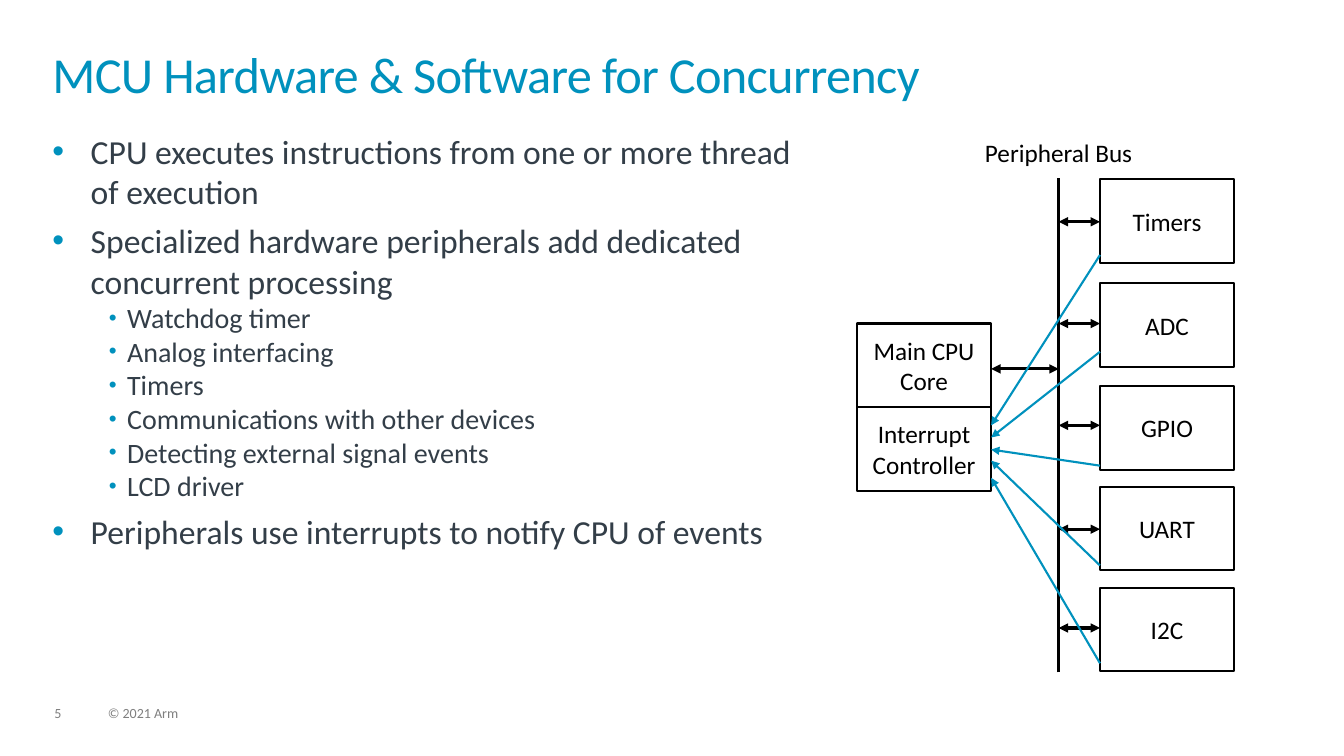
import dataclasses

import lxml.etree
import pptx
import pptx.dml.color
import pptx.enum.shapes
import pptx.enum.text
import pptx.oxml.ns
import pptx.util

ALIGN = pptx.enum.text.PP_ALIGN
ANCHOR = pptx.enum.text.MSO_ANCHOR


@dataclasses.dataclass(frozen=True)
class Theme:
    """Colours, font and type sizes of the slide."""
    accent: str = "0091BD"
    body: str = "333E48"
    ink: str = "000000"
    muted: str = "7F7F7F"
    font: str = "Calibri"
    title_size: int = 36
    list_size: int = 24
    sublist_size: int = 20
    label_size: int = 18
    footer_size: int = 10


THEME = Theme()

BULLETS = [
    (0, "CPU executes instructions from one or more thread of execution"),
    (0, "Specialized hardware peripherals add dedicated concurrent processing"),
    (1, "Watchdog timer"),
    (1, "Analog interfacing"),
    (1, "Timers"),
    (1, "Communications with other devices"),
    (1, "Detecting external signal events"),
    (1, "LCD driver"),
    (0, "Peripherals use interrupts to notify CPU of events"),
]

# name, box top, bus arrow, interrupt start, interrupt end
PERIPHERALS = [
    ("Timers", 42, 84, 117, 286),
    ("ADC", 145, 185, 213, 298),
    ("GPIO", 247, 286, 326, 310),
    ("UART", 347, 389, 425, 321),
    ("I2C", 447, 487, 522, 338),
]


def px(length):
    """Turn px, 100 to the inch, into EMU."""
    return pptx.util.Emu(length * 9144)


def rgb(colour):
    """Turn a hex string into a colour."""
    return pptx.dml.color.RGBColor.from_string(colour)


def place(shape, box):
    """Move a shape to a box of left, top, width and height."""
    shape.left, shape.top, shape.width, shape.height = map(px, box)


def set_frame(frame, anchor=ANCHOR.TOP, wrap=True):
    """Clear the insets of a text frame and set its anchor and wrapping."""
    frame.margin_left = frame.margin_right = frame.margin_top = frame.margin_bottom = 0
    frame.vertical_anchor = anchor
    frame.auto_size = pptx.enum.text.MSO_AUTO_SIZE.NONE
    frame.word_wrap = wrap


def write(para, text, size, colour, align=ALIGN.LEFT):
    """Fill a paragraph with text in one style."""
    para.text = text
    para.alignment = align
    para.font.name = THEME.font
    para.font.size = pptx.util.Pt(size)
    para.font.bold = False
    para.font.color.rgb = rgb(colour)


def add_label(slide, box, text, size, colour, align=ALIGN.LEFT, wrap=True):
    """Add a one-paragraph text box."""
    label = slide.shapes.add_textbox(*map(px, box))
    set_frame(label.text_frame, wrap=wrap)
    write(label.text_frame.paragraphs[0], text, size, colour, align)
    return label


def add_block(slide, box, text):
    """Add an outlined block with centred text."""
    block = slide.shapes.add_shape(pptx.enum.shapes.MSO_SHAPE.RECTANGLE, *map(px, box))
    block.shadow.inherit = False
    block.fill.background()
    block.line.color.rgb = rgb(THEME.ink)
    block.line.width = pptx.util.Pt(1.5)
    set_frame(block.text_frame, ANCHOR.MIDDLE)
    write(block.text_frame.paragraphs[0], text, THEME.label_size, THEME.ink, ALIGN.CENTER)


def add_line(slide, start, end, colour, width, ends=()):
    """Add a straight line with arrowheads at the named ends."""
    line = slide.shapes.add_connector(
        pptx.enum.shapes.MSO_CONNECTOR.STRAIGHT, *map(px, start + end))
    line.line.color.rgb = rgb(colour)
    line.line.width = pptx.util.Pt(width)
    outline = line.line._get_or_add_ln()
    for name in ends:
        lxml.etree.SubElement(outline, pptx.oxml.ns.qn(f"a:{name}"), type="triangle")
    lxml.etree.SubElement(line._element.spPr, pptx.oxml.ns.qn("a:effectLst"))


def add_bullet(para, level):
    """Give a paragraph the indent and bullet of its level."""
    left, hang, scale = [(38, 38, 100), (74, 18, 80)][level]
    para.level = level
    props = para._p.get_or_add_pPr()
    props.set("marL", str(px(left)))
    props.set("indent", str(px(-hang)))
    tint = lxml.etree.SubElement(props, pptx.oxml.ns.qn("a:buClr"))
    lxml.etree.SubElement(tint, pptx.oxml.ns.qn("a:srgbClr"), val=THEME.accent)
    lxml.etree.SubElement(props, pptx.oxml.ns.qn("a:buSzPct"), val=str(scale * 1000))
    lxml.etree.SubElement(props, pptx.oxml.ns.qn("a:buFont"), typeface="Arial")
    lxml.etree.SubElement(props, pptx.oxml.ns.qn("a:buChar"), char="•")


def fill_title(slide, box, text):
    """Place and fill the title placeholder."""
    title = slide.shapes.title
    place(title, box)
    set_frame(title.text_frame)
    para = title.text_frame.paragraphs[0]
    write(para, text, THEME.title_size, THEME.accent)
    para.line_spacing = 0.85
    para._p.pPr.find(pptx.oxml.ns.qn("a:defRPr")).set("spc", "-50")


def fill_body(slide, box):
    """Place the body placeholder and fill it with the bullet list."""
    body = slide.placeholders[1]
    place(body, box)
    frame = body.text_frame
    set_frame(frame)
    for index, (level, text) in enumerate(BULLETS):
        para = frame.add_paragraph() if index else frame.paragraphs[0]
        add_bullet(para, level)
        size = THEME.sublist_size if level else THEME.list_size
        write(para, text, size, THEME.body)
        para.space_before = pptx.util.Pt(6 if index and level == 0 else 0)


def draw_diagram(slide, box):
    """Draw the core, the bus and the peripherals with their interrupts."""
    left, top, width, height = box
    block_width, block_height = 133, 83
    core_right, bus = left + block_width, left + 200
    column = left + width - block_width
    both = ("headEnd", "tailEnd")
    for row, text in enumerate(["Main CPU Core", "Interrupt Controller"]):
        add_block(slide, (left, top + 185 + row * block_height, block_width, block_height), text)
    for name, block_top, *_ in PERIPHERALS:
        add_block(slide, (column, top + block_top, block_width, block_height), name)
    add_line(slide, (bus, top + height), (bus, top + 41), THEME.ink, 2.25)
    add_line(slide, (core_right, top + 230), (bus, top + 230), THEME.ink, 2.25, both)
    for _, _, access, _, _ in PERIPHERALS:
        add_line(slide, (bus, top + access), (column, top + access), THEME.ink, 2.25, both)
    for *_, start, end in PERIPHERALS:
        add_line(slide, (column, top + start), (core_right, top + end),
                 THEME.accent, 1.5, ("tailEnd",))
    add_label(slide, (bus - 79, top, 158, 35), "Peripheral Bus",
              THEME.label_size, THEME.ink, ALIGN.CENTER, wrap=False)


def draw_footer(slide, box):
    """Write the page number and the copyright line."""
    left, top, width, height = box
    for offset, span, text in [(0, 34, "5"), (53, width - 53, "© 2021 Arm")]:
        label = add_label(slide, (left + offset, top, span, height), text,
                          THEME.footer_size, THEME.muted)
        label.text_frame.paragraphs[0].line_spacing = 0.9


def main():
    """Build the deck and save it."""
    deck = pptx.Presentation()
    deck.slide_width, deck.slide_height = px(1333), px(750)
    slide = deck.slides.add_slide(deck.slide_layouts[1])
    draw_footer(slide, (54, 701, 560, 15))
    fill_title(slide, (52, 52, 1228, 72), "MCU Hardware & Software for Concurrency")
    fill_body(slide, (52, 130, 767, 541))
    draw_diagram(slide, (850, 136, 374, 531))
    deck.save("out.pptx")


if __name__ == "__main__":
    main()
